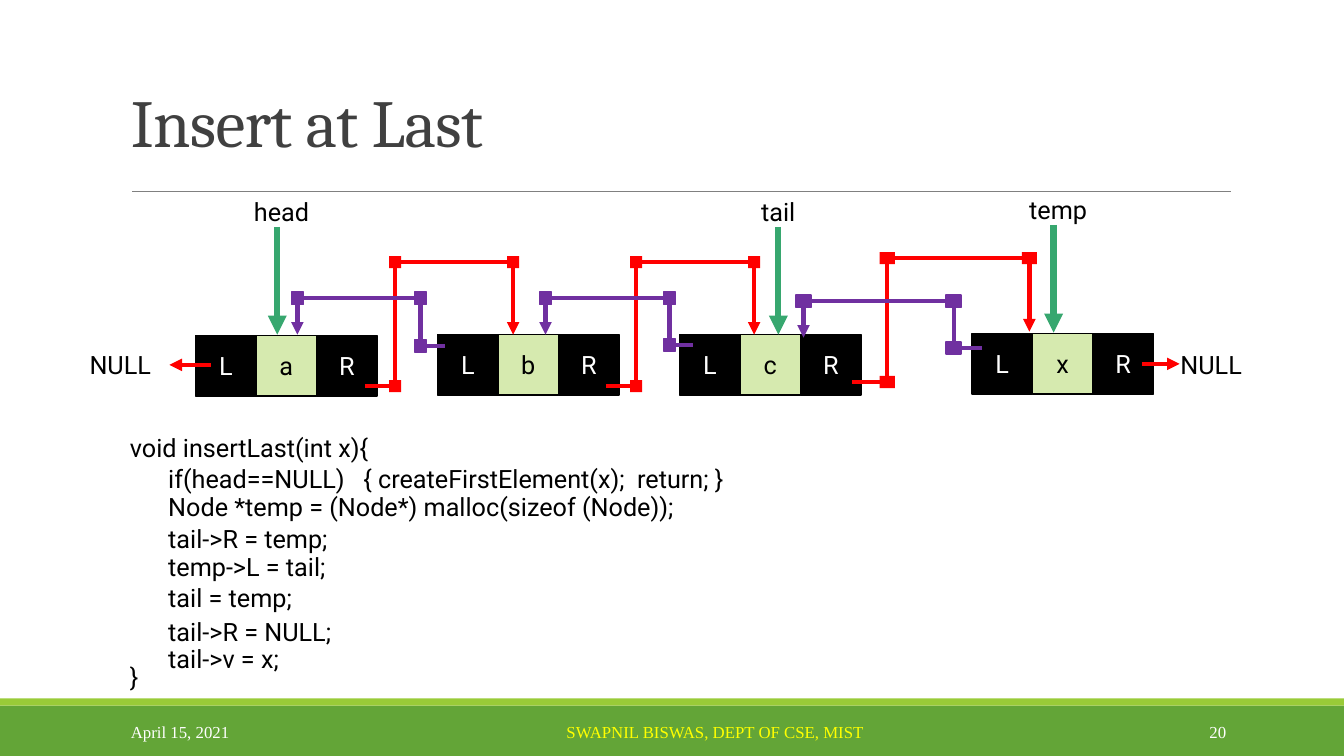
from dataclasses import dataclass

from lxml import etree
from pptx import Presentation
from pptx.dml.color import RGBColor
from pptx.enum.shapes import MSO_CONNECTOR, MSO_SHAPE
from pptx.enum.text import MSO_ANCHOR, PP_ALIGN
from pptx.oxml.ns import qn
from pptx.util import Inches, Pt

RECT = MSO_SHAPE.RECTANGLE
STRAIGHT = MSO_CONNECTOR.STRAIGHT
TOP, MIDDLE, BOTTOM = MSO_ANCHOR.TOP, MSO_ANCHOR.MIDDLE, MSO_ANCHOR.BOTTOM
LEFT, CENTER, RIGHT = PP_ALIGN.LEFT, PP_ALIGN.CENTER, PP_ALIGN.RIGHT


@dataclass(frozen=True)
class Theme:
    black: str = "000000"
    white: str = "FFFFFF"
    heading: str = "404040"
    rule: str = "808080"
    footer: str = "63A537"
    stripe: str = "99CB38"
    author: str = "FFFF00"
    value: str = "D6EAAF"
    pointer: str = "37A76F"
    next_link: str = "FF0000"
    prev_link: str = "7030A0"
    title_font: str = "Cambria"
    body_font: str = "Roboto"
    footer_font: str = "Times New Roman"
    title_size: int = 48
    body_size: int = 18
    footer_size: int = 12
    cell_line: float = 1.25
    link_line: float = 3
    pointer_line: float = 4.5


@dataclass(frozen=True)
class Box:
    left: float
    top: float
    width: float
    height: float

    def inside(self, dx, dy, width, height):
        return Box(self.left + dx, self.top + dy, width, height)

    def lengths(self):
        return [Inches(v) for v in (self.left, self.top, self.width, self.height)]


THEME = Theme()
BODY = {"name": THEME.body_font, "size": THEME.body_size, "color": THEME.black}
FOOTER = {"name": THEME.footer_font, "size": THEME.footer_size, "color": THEME.white}
TITLE = {"name": THEME.title_font, "size": THEME.title_size, "color": THEME.heading}
CELL = 0.6


def write(frame, text, style, anchor=TOP, align=LEFT):
    frame.vertical_anchor = anchor
    para = frame.paragraphs[0]
    para.alignment = align
    span = para.add_run()
    span.text = text
    font_values = {"name": style["name"], "size": Pt(style["size"])}
    for name, value in font_values.items():
        setattr(span.font, name, value)
    span.font.color.rgb = RGBColor.from_string(style["color"])
    return para, span


def add_text(page, box, text, style=BODY, anchor=TOP, align=LEFT):
    label = page.shapes.add_textbox(*box.lengths())
    label.text_frame.word_wrap = True
    return write(label.text_frame, text, style, anchor, align)


def add_block(page, box, fill, line=None):
    block = page.shapes.add_shape(RECT, *box.lengths())
    block.shadow.inherit = False
    block.fill.solid()
    block.fill.fore_color.rgb = RGBColor.from_string(fill)
    if line:
        block.line.color.rgb = RGBColor.from_string(line)
        block.line.width = Pt(THEME.cell_line)
    else:
        block.line.fill.background()
    return block


def add_line(page, start, end, color, width, arrow=False):
    line = page.shapes.add_connector(STRAIGHT, *[Inches(v) for v in (*start, *end)])
    line.line.color.rgb = RGBColor.from_string(color)
    line.line.width = Pt(width)
    if arrow:
        etree.SubElement(line.line._get_or_add_ln(), qn("a:tailEnd"), type="triangle")
    etree.SubElement(line._element.spPr, qn("a:effectLst"))


def add_heading(page, box):
    para, span = add_text(page, box, "Insert at Last", TITLE, BOTTOM)
    para.line_spacing = 0.85
    span._r.get_or_add_rPr().set("spc", "-50")
    rule_y = box.top + 1.84
    add_line(page, (box.left + 0.11, rule_y), (box.left + 11.01, rule_y), THEME.rule, 0.5)


def add_footer(page, box):
    add_block(page, box.inside(0, 0.07, box.width, 0.5), THEME.footer)
    add_block(page, box.inside(0, 0, box.width, 0.07), THEME.stripe)
    add_text(page, box.inside(5.52, 0.18, 3.18, 0.3), "SWAPNIL BISWAS, DEPT OF CSE, MIST",
             {**FOOTER, "color": THEME.author})
    add_text(page, box.inside(1.2, 0.13, 2.7, 0.4), "April 15, 2021", FOOTER, MIDDLE)
    add_text(page, box.inside(10.83, 0.13, 1.43, 0.4), "20", FOOTER, MIDDLE, RIGHT)


def add_node(page, box, value):
    cells = (("L", THEME.black, THEME.white), (value, THEME.value, THEME.black),
             ("R", THEME.black, THEME.white))
    for column, (text, fill, ink) in enumerate(cells):
        cell = add_block(page, box.inside(column * CELL, 0, CELL, CELL), fill, THEME.black)
        write(cell.text_frame, text, {**BODY, "color": ink}, MIDDLE, CENTER)


def add_link(page, start, turn_x, rail_y, end, color, joint):
    """Draw a bent arrow with a small block on each corner."""
    corners = [(turn_x, start[1]), (turn_x, rail_y), (end[0], rail_y)]
    stops = [start, *corners, end]
    for first, second in zip(stops, stops[1:]):
        add_line(page, first, second, color, THEME.link_line, arrow=second == end)
    outline = color if color == THEME.prev_link else None
    for x, y in corners:
        add_block(page, Box(x - joint / 2, y - 0.06, joint, 0.12), color, outline)


def add_list_diagram(page, box):
    def at(x, y):
        return box.left + x, box.top + y

    # Nodes
    for x, y, value in ((1.15, 1.45, "a"), (3.55, 1.44, "b"),
                        (5.95, 1.44, "c"), (8.85, 1.43, "x")):
        add_node(page, box.inside(x, y, 3 * CELL, CELL), value)

    # Named pointers: label left, width, arrow x, label top
    for name, x, width, arrow_x, y in (("head", 1.63, 0.8, 1.96, 0.02),
                                       ("tail", 6.66, 0.68, 6.93, 0.02),
                                       ("temp", 9.32, 0.8, 9.66, 0)):
        add_text(page, box.inside(x, y, width, 0.4), name)
        add_line(page, at(arrow_x, y + 0.35), at(arrow_x, y + 1.42),
                 THEME.pointer, THEME.pointer_line, arrow=True)

    # Links: start, turn x, rail y, end, colour, joint width
    red, purple = THEME.next_link, THEME.prev_link
    links = (((2.83, 1.95), 3.13, 0.72, (4.3, 1.44), red, 0.12),
             ((5.22, 1.95), 5.52, 0.72, (6.69, 1.44), red, 0.12),
             ((7.66, 1.91), 8.01, 0.68, (9.42, 1.41), red, 0.15),
             ((3.62, 1.55), 3.38, 1.08, (2.16, 1.44), purple, 0.12),
             ((6.08, 1.54), 5.85, 1.08, (4.62, 1.44), purple, 0.12),
             ((8.95, 1.57), 8.67, 1.11, (7.18, 1.47), purple, 0.15))
    for start, turn_x, rail_y, end, color, joint in links:
        add_link(page, at(*start), box.left + turn_x, box.top + rail_y, at(*end), color, joint)

    # List ends
    for text_x, start_x, end_x, y in ((0, 1.3, 0.89, 1.74), (10.82, 10.54, 10.91, 1.73)):
        add_text(page, box.inside(text_x, 1.54, 0.94, 0.4), "NULL")
        add_line(page, at(start_x, y), at(end_x, y), red, THEME.link_line, arrow=True)


def add_code(page, box):
    indent = 0.38
    for x, y, text in (
            (0, 0, "void insertLast(int x){"),
            (indent, 0.31, "if(head==NULL)   { createFirstElement(x);  return; }"),
            (indent, 0.59, "Node *temp = (Node*) malloc(sizeof (Node));"),
            (indent, 0.9, "tail->R = temp;"),
            (indent, 1.18, "temp->L = tail;"),
            (indent, 1.49, "tail = temp;"),
            (indent, 1.83, "tail->R = NULL;"),
            (indent, 2.09, "tail->v = x;"),
            (0, 2.27, "}")):
        add_text(page, box.inside(x, y, box.width - x, 0.4), text)


def main():
    deck = Presentation()
    deck.slide_width, deck.slide_height = Inches(13.33), Inches(7.5)
    page = deck.slides.add_slide(deck.slide_layouts[6])
    add_footer(page, Box(0, 6.93, 13.33, 0.57))
    add_heading(page, Box(1.2, 0.06, 11, 1.59))
    add_list_diagram(page, Box(0.79, 1.88, 11.76, 2.05))
    add_code(page, Box(1.19, 4.24, 6.29, 2.67))
    deck.save("out.pptx")


if __name__ == "__main__":
    main()
